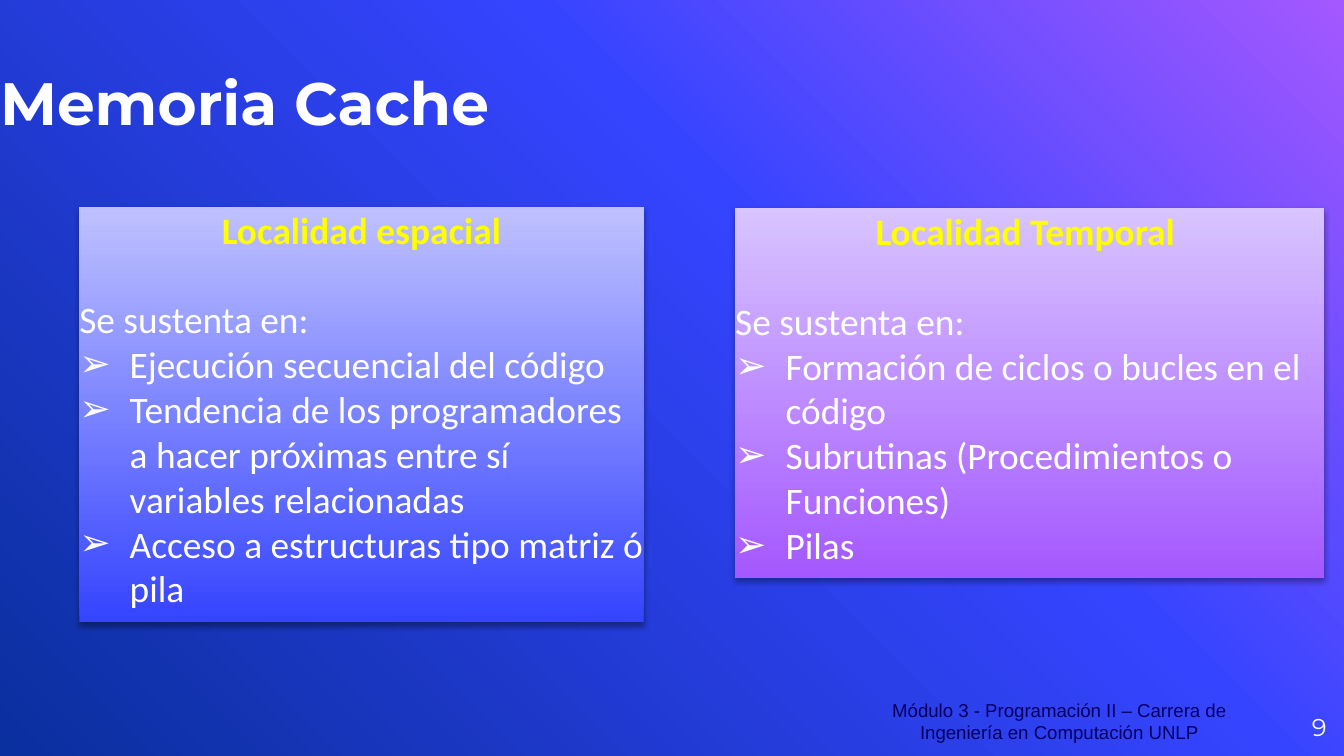
from dataclasses import dataclass

from lxml import etree
from pptx import Presentation
from pptx.dml.color import RGBColor
from pptx.enum.shapes import MSO_SHAPE
from pptx.enum.text import MSO_ANCHOR, MSO_AUTO_SIZE, PP_ALIGN
from pptx.oxml.ns import qn
from pptx.util import Inches, Pt

RECTANGLE = MSO_SHAPE.RECTANGLE
TOP, MIDDLE, BOTTOM = MSO_ANCHOR.TOP, MSO_ANCHOR.MIDDLE, MSO_ANCHOR.BOTTOM
LEFT, CENTER, RIGHT = PP_ALIGN.LEFT, PP_ALIGN.CENTER, PP_ALIGN.RIGHT
NO_FIT, GROW = MSO_AUTO_SIZE.NONE, MSO_AUTO_SIZE.SHAPE_TO_FIT_TEXT
TITLE_ONLY = 5


@dataclass(frozen=True)
class Theme:
    blue: str = "3544FF"
    navy: str = "0A2F9E"
    purple: str = "A458FF"
    pale_blue: str = "BFC1FF"
    pale_purple: str = "D8C4FF"
    white: str = "FFFFFF"
    yellow: str = "FFFF00"
    footer: str = "050060"
    shadow: str = "000000"
    display_font: str = "Montserrat"
    body_font: str = "Calibri"
    footer_font: str = "Arial"
    title_size: int = 32
    body_size: int = 20
    number_size: int = 13
    footer_size: int = 10


THEME = Theme()

CARDS = [
    ((0.59, 1.54, 4.2, 3.09), (THEME.blue, THEME.pale_blue), "Localidad espacial", [
        "Ejecución secuencial del código",
        "Tendencia de los programadores a hacer próximas entre sí variables relacionadas",
        "Acceso a estructuras tipo matriz ó pila",
    ]),
    ((5.47, 1.55, 4.38, 2.75), (THEME.purple, THEME.pale_purple), "Localidad Temporal ", [
        "Formación de ciclos o bucles en el código",
        "Subrutinas (Procedimientos o Funciones)",
        "Pilas",
    ]),
]


def add_child(parent, tag, **attributes):
    child = etree.SubElement(parent, qn(tag))
    for name, value in attributes.items():
        child.set(name, str(value))
    return child


def set_gradient(owner, fill, stops, angle):
    fill.gradient()
    fill.gradient_angle = angle
    stop_list = owner.element.find(".//" + qn("a:gsLst"))
    for stop in list(stop_list):
        stop_list.remove(stop)
    for position, color in stops:
        stop = add_child(stop_list, "a:gs", pos=position * 1000)
        add_child(stop, "a:srgbClr", val=color)


def add_shadow(shape):
    shape.shadow.inherit = False
    effects = shape.element.spPr.find(qn("a:effectLst"))
    shadow = add_child(effects, "a:outerShdw", blurRad=Pt(3.1), dist=Pt(1.8),
                       dir=90 * 60000, rotWithShape=0)
    color = add_child(shadow, "a:srgbClr", val=THEME.shadow)
    add_child(color, "a:alpha", val=35000)


def set_bullet(para):
    indent = Pt(27)
    properties = para._p.get_or_add_pPr()
    properties.set("marL", str(indent))
    properties.set("indent", str(-indent))
    add_child(properties, "a:buFont", typeface="Arial")
    add_child(properties, "a:buChar", char="➢")


def style_paragraph(para, font, size, color, bold=False, align=LEFT):
    para.alignment = align
    for span in para.runs:
        span.font.name = font
        span.font.size = Pt(size)
        span.font.bold = bold
        span.font.color.rgb = RGBColor.from_string(color)


def set_frame(frame, anchor, fit, margins=(0, 0, 0, 0)):
    frame.word_wrap = True
    frame.auto_size = fit
    frame.vertical_anchor = anchor
    (frame.margin_left, frame.margin_top,
     frame.margin_right, frame.margin_bottom) = map(Inches, margins)


def place_title(page, text, bounds):
    title = page.shapes.title
    title.left, title.top, title.width, title.height = map(Inches, bounds)
    title.text_frame.text = text
    set_frame(title.text_frame, BOTTOM, NO_FIT)
    style_paragraph(title.text_frame.paragraphs[0], THEME.display_font,
                    THEME.title_size, THEME.white, bold=True)


def add_label(page, text, bounds, anchor, fit, margins, **style):
    box = page.shapes.add_textbox(*map(Inches, bounds))
    box.text_frame.text = text
    set_frame(box.text_frame, anchor, fit, margins)
    style_paragraph(box.text_frame.paragraphs[0], **style)


def add_card(page, bounds, colors, heading, points):
    card = page.shapes.add_shape(RECTANGLE, *map(Inches, bounds))
    set_gradient(card, card.fill, zip((0, 100), colors), 90)
    card.line.fill.background()
    add_shadow(card)
    frame = card.text_frame
    frame.text = "\n".join([heading, "Se sustenta en:", *points])
    set_frame(frame, TOP, GROW, (0, 0, 0, 0.06))
    first, *others = frame.paragraphs
    style_paragraph(first, THEME.body_font, THEME.body_size, THEME.yellow,
                    bold=True, align=CENTER)
    first.space_after = Pt(24)
    for para in others[1:]:
        set_bullet(para)
    for para in others:
        style_paragraph(para, THEME.body_font, THEME.body_size, THEME.white)


def main():
    deck = Presentation()
    deck.slide_width = Inches(10)
    deck.slide_height = deck.slide_width * 9 // 16
    page = deck.slides.add_slide(deck.slide_layouts[TITLE_ONLY])
    set_gradient(page, page.background.fill,
                 [(0, THEME.purple), (39, THEME.blue), (100, THEME.navy)], 225)
    add_label(page, "Módulo 3 - Programación II – Carrera de Ingeniería en Computación UNLP",
              (6.48, 5.15, 2.8, 0.44), TOP, GROW, (0.1, 0.05, 0.1, 0.05),
              font=THEME.footer_font, size=THEME.footer_size,
              color=THEME.footer, align=CENTER)
    add_label(page, "9", (9.27, 5.19, 0.6, 0.43), MIDDLE, NO_FIT, (0, 0, 0, 0),
              font=THEME.display_font, size=THEME.number_size,
              color=THEME.white, align=RIGHT)
    place_title(page, "Memoria Cache", (0, 0.21, 9, 0.81))
    for card in CARDS:
        add_card(page, *card)
    deck.save("out.pptx")


if __name__ == "__main__":
    main()
